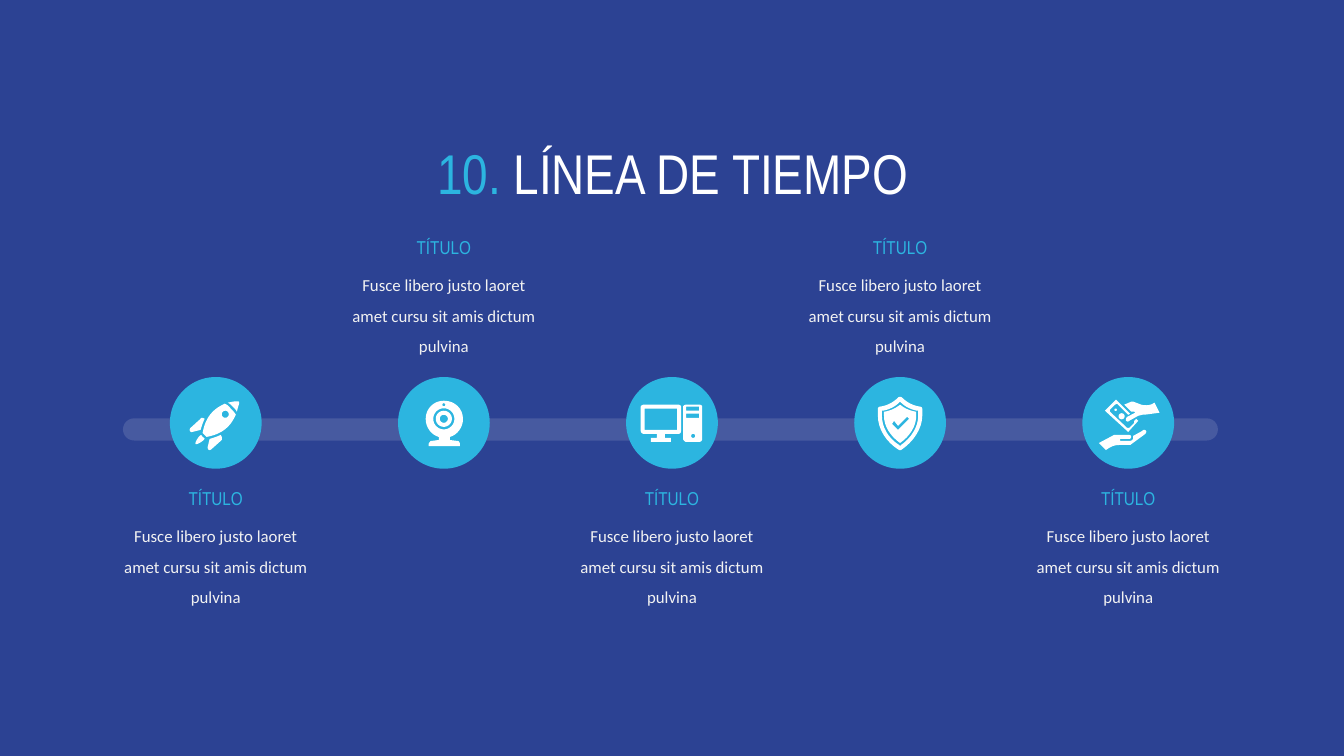
import math
from dataclasses import dataclass

from lxml import etree
from pptx import Presentation, util as u
from pptx.dml.color import RGBColor
from pptx.enum import shapes, text
from pptx.oxml import ns


@dataclass(frozen=True)
class Theme:
    background: str = "2C4293"
    accent: str = "2CB5E0"
    white: str = "FFFFFF"
    body: str = "F2F2F2"
    heading_font: str = "Arial Narrow"
    body_font: str = "Calibri"
    title_size: float = 40
    heading_size: float = 13.3
    body_size: float = 12
    bar_opacity: int = 13


THEME = Theme()
HEADING = "TÍTULO"
BODY = "Fusce libero justo laoret amet cursu sit amis dictum pulvina"

# Icon outlines in hundredths of an inch from the centre of their circle:
# M starts a contour, L draws lines, C curves, O a circle (centre, rim point).
ROCKET = [
    "M 23,-21 C 22,-22 17,-21 12,-20 14,-19 15,-18 17,-16 19,-14 20,-13 21,-11 22,-16 24,-20 23,-21",
    "M -11,-4 L -13,-5 C -14,-5 -15,-5 -15,-4 L -25,5 C -27,7 -25,10 -23,9 L -15,7 C -14,4 -13,0 -11,-4",
    "M 5,12 C 1,14 -3,15 -6,16 L -8,24 C -8,27 -6,28 -4,26 L 6,17 6,14",
    "M 9,-19 C 5,-17 1,-15 -3,-11 -10,-4 -12,5 -13,10 L -9,14 C -4,13 5,11 12,4 16,0 18,-4 20,-8 "
    "19,-10 17,-12 15,-14 13,-17 11,-18 9,-19 O 9.5,-8.5 13,-8.5",
    "M -13,14 C -14,13 -14,11 -16,13 -18,15 -21,20 -20,21 -19,22 -14,19 -12,17 -10,15 -12,15 -13,14",
]
WEBCAM = [
    "M 14,18 L 6,17 6,14 C 13,12 19,5 19,-4 19,-14 11,-22 0,-22 -10,-22 -18,-14 -18,-4 "
    "-18,5 -12,12 -5,14 L -5,17 -13,18 C -14,19 -15,20 -15,21 L -15,23 16,23 16,21 "
    "C 16,20 15,18 14,18 O 0,-4 10.5,-4 O 0,-18 1.5,-18",
    "O 0,-4 8,-4 O 0,-4 4,-4",
]
COMPUTER = [
    "M 6,-18 L -28,-18 C -29,-18 -31,-17 -31,-16 L -31,8 C -31,10 -29,11 -28,11 L -15,11 -15,15 "
    "-21,15 -21,19 -1,19 -1,15 -7,15 -7,11 6,11 C 8,11 9,10 9,8 L 9,-16 C 9,-17 8,-18 6,-18 "
    "M 5,7 L -27,7 -27,-14 5,-14",
    "M 27,-18 L 14,-18 C 13,-18 11,-17 11,-16 L 11,16 C 11,17 13,19 14,19 L 27,19 "
    "C 29,19 30,17 30,16 L 30,-16 C 30,-17 29,-18 27,-18 M 27,-12 L 14,-12 14,-16 27,-16 "
    "M 27,-5 L 14,-5 14,-9 27,-9 O 21,13 23,13",
]
SHIELD = [
    "M 20,-16 C 13,-17 7,-20 2,-25 1,-26 -1,-26 -2,-25 -7,-20 -13,-17 -20,-16 -21,-16 -22,-15 -22,-14 "
    "L -22,-7 C -22,6 -14,19 -1,27 L 1,27 C 13,19 22,6 22,-7 L 22,-14 C 22,-15 21,-16 20,-16 "
    "M 18,-7 C 18,4 11,15 1,22 L 0,23 -1,22 C -12,15 -18,4 -18,-7 L -18,-12 -17,-12 "
    "C -11,-13 -5,-16 -1,-20 L 0,-21 1,-20 C 5,-16 11,-13 17,-12 L 18,-12",
    "M 0,-18 C -5,-14 -10,-12 -16,-11 L -16,-7 C -16,3 -10,13 0,20 10,13 16,3 16,-7 L 16,-11 "
    "C 10,-12 5,-14 0,-18 M -2,7 L -8,1 -6,-2 -2,3 7,-6 9,-4",
]
PAYMENT = [
    "O -6.5,-6.5 -3.5,-6.5",
    "O -12.5,-13 -11.3,-13",
    "M 18,9 C 18,8 17,7 16,7 15,7 15,7 14,8 L 5,13 5,15 C 5,17 3,18 1,18 L -8,18 -8,16 1,16 "
    "C 2,16 3,15 3,14 3,13 2,12 1,12 L -12,12 -14,12 -29,20 -22,27 C -18,24 -14,22 -9,22 "
    "L 2,22 17,11 18,9",
    "M -12,-23 L 2,-9 0,-8 -11,-19 -13,-18 -18,-13 -18,-11 -1,5 1,5 6,0 6,-2 8,-4 10,-2 0,9 -23,-12",
    "M -1,-6 L 7,-10 6,-11 3,-11 -4,-18 3,-21 5,-21 13,-18 C 17,-17 22,-17 26,-20 L 31,-10 16,-8 "
    "14,-8 10,-7 1,-2 C 0,-1 -1,-1 -2,-2 -3,-3 -2,-5 -1,-6",
]
ICONS = [ROCKET, WEBCAM, COMPUTER, SHIELD, PAYMENT]


def curve_points(start, control_1, control_2, end, steps=8):
    for step in range(1, steps + 1):
        t = step / steps
        weights = ((1 - t) ** 3, 3 * t * (1 - t) ** 2, 3 * t * t * (1 - t), t ** 3)
        yield tuple(sum(w * point[axis] for w, point in zip(weights, (start, control_1, control_2, end)))
                    for axis in (0, 1))


def circle_points(center, rim, steps=32):
    radius = math.dist(center, rim)
    angles = [2 * math.pi * step / steps for step in range(steps)]
    return [(center[0] + radius * math.cos(a), center[1] + radius * math.sin(a)) for a in angles]


def contours(outline):
    """Turn an outline string into lists of points, one for each contour."""
    result, command, waiting = [], "", []
    for token in outline.split():
        if token.isalpha():
            command = token
            continue
        waiting.append(tuple(float(number) for number in token.split(",")))
        if len(waiting) < {"C": 3, "O": 2}.get(command, 1):
            continue
        if command == "M":
            result.append(waiting)
        elif command == "O":
            result.append(circle_points(*waiting))
        elif command == "C":
            result[-1].extend(curve_points(result[-1][-1], *waiting))
        else:
            result[-1].extend(waiting)
        waiting = []
    return result


def paint(shape, color):
    shape.shadow.inherit = False
    shape.fill.solid()
    shape.fill.fore_color.rgb = RGBColor.from_string(color)
    shape.line.fill.background()


def add_icon(slide, outlines, center_x, center_y):
    for outline in outlines:
        builder = None
        for contour in contours(outline):
            points = [(u.Inches(x / 100), u.Inches(y / 100)) for x, y in contour]
            if builder is None:
                builder = slide.shapes.build_freeform(*points[0])
            else:
                builder.move_to(*points[0])
            builder.add_line_segments(points[1:], close=True)
        paint(builder.convert_to_shape(u.Inches(center_x), u.Inches(center_y)), THEME.white)


def add_text(slide, box, runs, font, size, spacing=None):
    """Add a centred paragraph; runs are pairs of wording and colour."""
    frame = slide.shapes.add_textbox(*map(u.Inches, box)).text_frame
    settings = {"word_wrap": True, "auto_size": text.MSO_AUTO_SIZE.SHAPE_TO_FIT_TEXT,
                "margin_left": u.Inches(0.07), "margin_right": u.Inches(0.07),
                "margin_top": u.Inches(0.03), "margin_bottom": u.Inches(0.03)}
    for name, value in settings.items():
        setattr(frame, name, value)
    paragraph = frame.paragraphs[0]
    paragraph.alignment = text.PP_ALIGN.CENTER
    paragraph.line_spacing = spacing
    for wording, color in runs:
        run = paragraph.add_run()
        run.text = wording
        for name, value in {"name": font, "size": u.Pt(size)}.items():
            setattr(run.font, name, value)
        run.font.color.rgb = RGBColor.from_string(color)


def add_bar(slide, box):
    bar = slide.shapes.add_shape(shapes.MSO_SHAPE.ROUNDED_RECTANGLE, *map(u.Inches, box))
    bar.adjustments[0] = 0.5
    paint(bar, THEME.white)
    color = bar.fill._xPr.find(".//" + ns.qn("a:srgbClr"))
    etree.SubElement(color, ns.qn("a:alpha")).set("val", str(THEME.bar_opacity * 1000))


def add_label(slide, center_x, top):
    add_text(slide, (center_x - 1.15, top, 2.3, 0.29), [(HEADING, THEME.accent)],
             THEME.heading_font, THEME.heading_size)
    add_text(slide, (center_x - 1.04, top + 0.29, 2.08, 0.98), [(BODY, THEME.body)],
             THEME.body_font, THEME.body_size, 1.5)


def add_timeline(slide, left, top, width, diameter=0.91):
    """Place the bar, with one circle and label per icon, labels by turns below and above."""
    add_bar(slide, (left, top + 0.41, width, 0.22))
    center_y = top + diameter / 2
    first, last = left + 0.92, left + width - 0.89
    gap = (last - first) / (len(ICONS) - 1)
    for index, icon in enumerate(ICONS):
        center_x = first + index * gap
        box = (center_x - diameter / 2, top, diameter, diameter)
        paint(slide.shapes.add_shape(shapes.MSO_SHAPE.OVAL, *map(u.Inches, box)), THEME.accent)
        add_icon(slide, icon, center_x, center_y)
        add_label(slide, center_x, top - 1.43 if index % 2 else top + 1.06)


def main():
    presentation = Presentation()
    presentation.slide_width, presentation.slide_height = u.Inches(13.33), u.Inches(7.5)
    slide = presentation.slides.add_slide(presentation.slide_layouts[6])
    slide.background.fill.solid()
    slide.background.fill.fore_color.rgb = RGBColor.from_string(THEME.background)
    add_text(slide, (1.41, 1.34, 10.52, 0.74),
             [("10. ", THEME.accent), ("LÍNEA DE TIEMPO", THEME.white)],
             THEME.heading_font, THEME.title_size)
    add_timeline(slide, 1.22, 3.74, 10.86)
    presentation.save("out.pptx")


if __name__ == "__main__":
    main()
